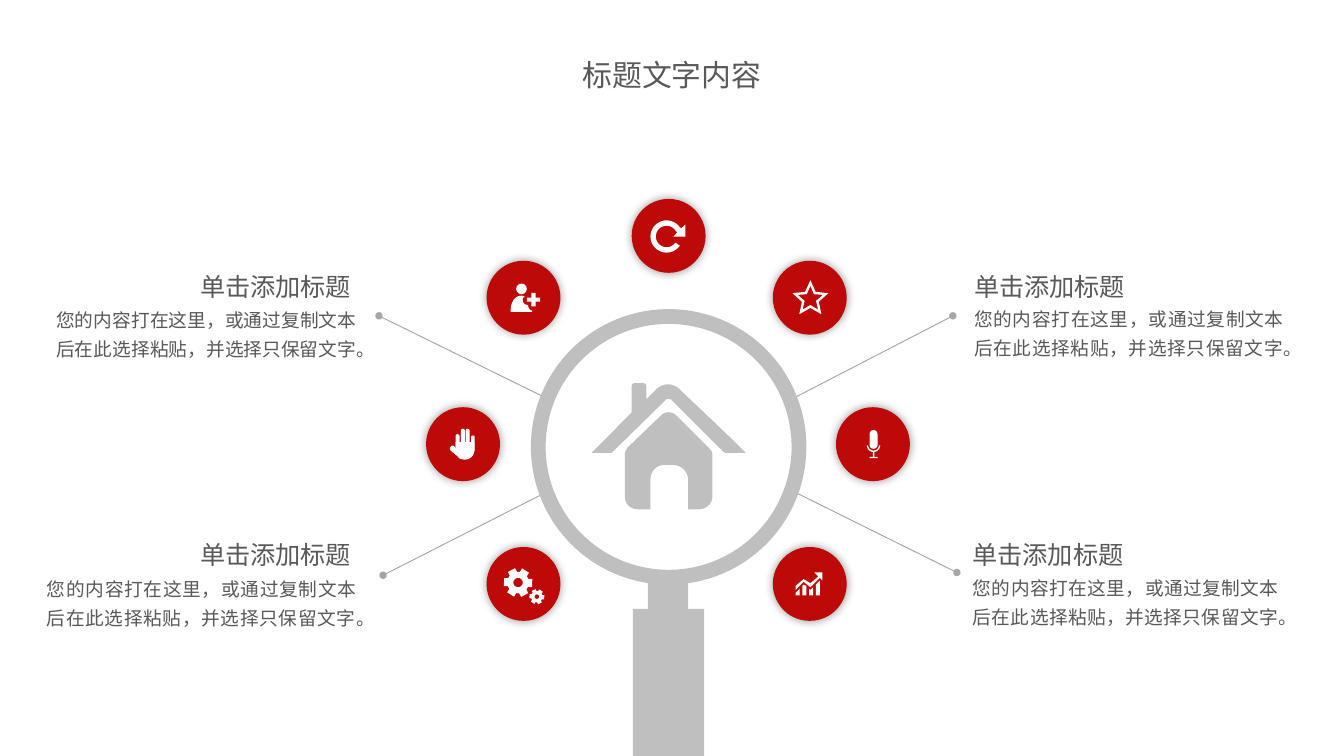
import math

import pptx
import pptx.dml.color
import pptx.enum.shapes
import pptx.enum.text
import pptx.oxml
import pptx.oxml.ns
import pptx.util
from lxml import etree

PRESET = pptx.enum.shapes.MSO_SHAPE
ALIGN = pptx.enum.text.PP_ALIGN
RED = pptx.dml.color.RGBColor(0xBE, 0x09, 0x09)
GRAY = pptx.dml.color.RGBColor(0xBF, 0xBF, 0xBF)
LINE_GRAY = pptx.dml.color.RGBColor(0xA6, 0xA6, 0xA6)
TEXT_GRAY = pptx.dml.color.RGBColor(0x59, 0x59, 0x59)
WHITE = pptx.dml.color.RGBColor(0xFF, 0xFF, 0xFF)
FONT = "Noto Sans CJK SC"
SLIDE_WIDTH = 10
SLIDE_HEIGHT = SLIDE_WIDTH * 9 / 16
UNIT = 0.01

TITLE = "标题文字内容"
HEADING = "单击添加标题"
BODY = "您的内容打在这里，或通过复制文本后在此选择粘贴，并选择只保留文字。"
NOTES = [
    (7.15, 1.9, 7.15, 2.19, 2.5, ALIGN.LEFT),
    (1.37, 1.9, 0.32, 2.2, 2.43, ALIGN.RIGHT),
    (1.37, 3.9, 0.25, 4.2, 2.5, ALIGN.RIGHT),
    (7.14, 3.9, 7.14, 4.19, 2.47, ALIGN.LEFT),
]
LEADERS = [
    (4.06, 2.96, 2.82, 2.35),
    (5.91, 3.66, 7.12, 4.26),
    (5.91, 2.96, 7.09, 2.35),
    (4.07, 3.66, 2.85, 4.28),
]
BADGE_SIZE = 0.55
COLUMNS = [3.17, 3.62, 4.7, 5.75, 6.22]
ROWS = [1.48, 1.94, 3.03, 4.07]
LENS = (3.95, 2.3, 2.05, 2.05)
RIM = 0.11
HANDLE = [(4.82, 4.31, 0.3, 0.31), (4.71, 4.53, 0.53, SLIDE_HEIGHT - 4.53)]


def arc(center_x, center_y, radius, start, end, steps=32):
    angles = [math.radians(start + (end - start) * i / steps) for i in range(steps + 1)]
    return [(center_x + radius * math.cos(a), center_y + radius * math.sin(a)) for a in angles]


def star(center_x, center_y, outer, inner):
    return [arc(center_x, center_y, inner if i % 2 else outer, 36 * i - 90, 0, 1)[0]
            for i in range(10)]


def gear(center_x, center_y, radius, hole, turn):
    profile = [(-22, 0.74), (-16, 1), (16, 1), (22, 0.74)]
    teeth = [arc(center_x, center_y, radius * share, 60 * tooth + angle + turn, 0, 1)[0]
             for tooth in range(6) for angle, share in profile]
    return [teeth, arc(center_x, center_y, hole, 0, 360)]


REFRESH = ([(40, 28), (40, 19), (37, 22)] + arc(26, 28, 12, -35, -325)
           + arc(26, 28, 8, -325, -35) + [(34, 25), (31, 28)])
PERSON = [(34, 38), (18, 38), (18, 37), (18, 31, 21, 26, 26, 26), (28, 26, 28, 27, 29, 27),
          (27, 27, 27, 28, 27, 29), (27, 33, 31, 33, 31, 33), (31, 36, 33, 37, 34, 37)]
PALM = [(22, 26), (36, 26), (36, 32), (36, 36, 33, 39, 29, 39), (26, 39, 24, 38, 24, 37),
        (18, 32), (17, 29, 20, 28, 21, 29), (22, 31)]
BARS = [
    [(17, 36), (20, 36), (20, 31), (17, 34)],
    [(22, 29), (22, 36), (25, 36), (25, 29), (23, 28)],
    [(27, 31), (27, 36), (30, 36), (30, 30), (28, 32)],
    [(32, 36), (35, 36), (35, 25), (32, 28)],
]
TREND = [(31, 19), (34, 22), (28, 27), (23, 24), (17, 29), (17, 32), (23, 26), (28, 30),
         (35, 23), (37, 25), (37, 19)]
HOUSE = [(135, 108), (135, 106, 134, 105, 132, 103), (108, 79), (105, 76, 100, 76, 97, 79),
         (72, 103), (71, 105, 70, 106, 70, 108), (70, 140), (70, 145, 74, 149, 80, 149),
         (89, 149), (89, 127), (89, 121, 93, 116, 99, 116), (106, 116),
         (112, 116, 117, 121, 117, 127), (117, 149), (125, 149), (130, 149, 135, 145, 135, 140)]
ROOF = [(151, 98), (111, 60), (108, 57, 105, 56, 102, 56), (99, 56, 96, 57, 93, 60), (86, 67),
        (86, 58), (86, 56, 85, 55, 83, 55), (78, 55), (76, 55, 75, 56, 75, 58), (75, 77),
        (45, 107), (60, 107), (101, 67), (104, 67), (143, 106), (145, 107), (160, 107)]

PILL = PRESET.ROUNDED_RECTANGLE
FINGERS = [(22, 20, 3, 12), (26, 16, 3, 14), (29.5, 16, 3, 14), (33.5, 21, 2.7, 12)]
BADGES = [
    (2, 0, [], [[REFRESH]]),
    (3, 1, [], [[star(28, 28.5, 14, 6.6), star(28, 28.5, 9.8, 4.5)]]),
    (1, 1, [(PRESET.CROSS, (30, 24, 10, 10), 0.35), (PRESET.OVAL, (22, 17, 8, 8), None)],
     [[PERSON]]),
    (0, 2, [(PILL, finger, 0.5) for finger in FINGERS], [[PALM]]),
    (3, 3, [], [[bar] for bar in BARS] + [[TREND]]),
    (1, 3, [], [gear(23.5, 26.5, 10.9, 3.5, 2), gear(37.5, 37, 5.7, 1.7, 5)]),
    (4, 2, [(PILL, (25, 17, 6, 14), 0.5), (PRESET.RECTANGLE, (27.5, 32.5, 1.2, 5), None),
            (PRESET.RECTANGLE, (25, 37, 6, 1), None)],
     [[arc(28, 28.3, 5, 0, 180) + arc(28, 28.3, 4, 180, 0)]]),
]


def flatten(contour, steps=8):
    points = []
    for node in contour:
        if len(node) == 2:
            points.append(node)
            continue
        corners = [points[-1], node[:2], node[2:4], node[4:]]
        for step in range(1, steps + 1):
            t = step / steps
            weights = [(1 - t) ** 3, 3 * t * (1 - t) ** 2, 3 * t * t * (1 - t), t ** 3]
            points.append(tuple(sum(w * c[axis] for w, c in zip(weights, corners))
                                for axis in (0, 1)))
    return points


def paint(shape, color):
    shape.shadow.inherit = False
    shape.fill.solid()
    shape.fill.fore_color.rgb = color
    shape.line.fill.background()
    return shape


def add_preset(slide, preset, box, color, adjustment=None):
    shape = slide.shapes.add_shape(preset, *map(pptx.util.Inches, box))
    if adjustment is not None:
        shape.adjustments[0] = adjustment
    return paint(shape, color)


def add_outline(slide, contours, left, top, color):
    placed = [[(pptx.util.Inches(left + x * UNIT), pptx.util.Inches(top + y * UNIT))
               for x, y in flatten(contour)] for contour in contours]
    builder = slide.shapes.build_freeform(*placed[0][0])
    builder.add_line_segments(placed[0][1:])
    for points in placed[1:]:
        builder.move_to(*points[0])
        builder.add_line_segments(points[1:])
    paint(builder.convert_to_shape(), color)


def add_glow(shape):
    effects = shape._element.spPr.find(pptx.oxml.ns.qn("a:effectLst"))
    effects.append(pptx.oxml.parse_xml(
        f'<a:outerShdw {pptx.oxml.ns.nsdecls("a")} blurRad="63500" dist="0">'
        '<a:srgbClr val="000000"><a:alpha val="40000"/></a:srgbClr></a:outerShdw>'))


def add_leader(slide, ends):
    connector = slide.shapes.add_connector(
        pptx.enum.shapes.MSO_CONNECTOR.STRAIGHT, *map(pptx.util.Inches, ends))
    connector.line.color.rgb = LINE_GRAY
    connector.line.width = pptx.util.Pt(0.5)
    etree.SubElement(connector.line._get_or_add_ln(), pptx.oxml.ns.qn("a:tailEnd"),
                     type="oval", w="sm", len="sm")
    etree.SubElement(connector._element.spPr, pptx.oxml.ns.qn("a:effectLst"))


def add_text(slide, box, text, size, alignment, spacing=1.3, wrap=True):
    frame = slide.shapes.add_textbox(*map(pptx.util.Inches, box)).text_frame
    frame.word_wrap = wrap
    frame.auto_size = pptx.enum.text.MSO_AUTO_SIZE.SHAPE_TO_FIT_TEXT
    paragraph = frame.paragraphs[0]
    paragraph.text = text
    paragraph.alignment = alignment
    paragraph.line_spacing = spacing
    paragraph.font.size = pptx.util.Pt(size)
    paragraph.font.color.rgb = TEXT_GRAY
    paragraph.font.name = FONT
    etree.SubElement(paragraph.font._element, pptx.oxml.ns.qn("a:ea"), typeface=FONT)


def main():
    presentation = pptx.Presentation()
    presentation.slide_width = pptx.util.Inches(SLIDE_WIDTH)
    presentation.slide_height = pptx.util.Inches(SLIDE_HEIGHT)
    slide = presentation.slides.add_slide(presentation.slide_layouts[6])
    add_text(slide, (3.58, 0.37, 2.84, 0.37), TITLE, 16, ALIGN.CENTER, 1)
    for ends in LEADERS:
        add_leader(slide, ends)
    for column, row, presets, outlines in BADGES:
        left, top = COLUMNS[column], ROWS[row]
        add_glow(add_preset(slide, PRESET.OVAL, (left, top, BADGE_SIZE, BADGE_SIZE), RED))
        for preset, (x, y, width, height), adjustment in presets:
            box = (left + x * UNIT, top + y * UNIT, width * UNIT, height * UNIT)
            add_preset(slide, preset, box, WHITE, adjustment)
        for contours in outlines:
            add_outline(slide, contours, left, top, WHITE)
    for contour in (HOUSE, ROOF):
        add_outline(slide, [contour], LENS[0], LENS[1], GRAY)
    add_preset(slide, PRESET.DONUT, LENS, GRAY, RIM / LENS[2])
    for box in HANDLE:
        add_preset(slide, PRESET.RECTANGLE, box, GRAY)
    for heading_left, heading_top, body_left, body_top, body_width, alignment in NOTES:
        heading_box = (heading_left, heading_top, 1.34, 0.37)
        add_text(slide, heading_box, HEADING, 13.5, alignment, wrap=False)
        add_text(slide, (body_left, body_top, body_width, 0.52), BODY, 10, ALIGN.JUSTIFY)
    presentation.save("out.pptx")


if __name__ == "__main__":
    main()
